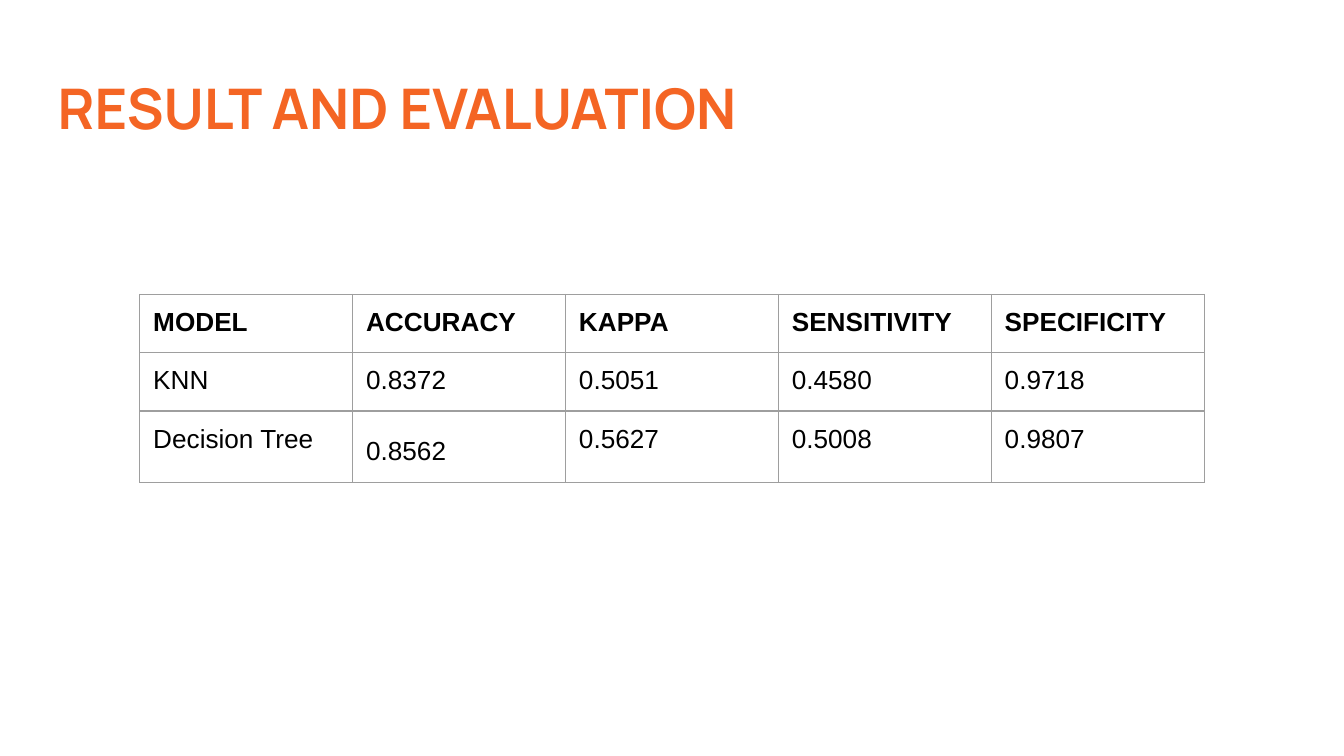
from lxml import etree
from pptx import Presentation
from pptx.dml.color import RGBColor
from pptx.enum.text import MSO_ANCHOR as Anchor
from pptx.oxml.ns import qn
from pptx.util import Inches, Pt

# Content
TITLE = "RESULT AND EVALUATION"
ROWS = [
    ("MODEL", "ACCURACY", "KAPPA", "SENSITIVITY", "SPECIFICITY"),
    ("KNN", "0.8372", "0.5051", "0.4580", "0.9718"),
    ("Decision Tree", "0.8562", "0.5627", "0.5008", "0.9807"),
]
LOOSE = (2, 1)  # cell with wider line spacing

# Style
ORANGE = RGBColor(0xF4, 0x65, 0x24)
BLACK = RGBColor(0, 0, 0)
GREY = RGBColor(0x9E, 0x9E, 0x9E)
PAD = Inches(0.1)
GRID_W, GRID_H = Inches(7.92), Inches(1.25)
FRAME = Inches(3.28)


def add_run(para, text, size, font, color, bold):
    run = para.add_run()
    run.text = text
    run.font.size = Pt(size)
    run.font.name = font
    run.font.color.rgb = color
    run.font.bold = bold


def set_pad(box):
    box.margin_left = box.margin_right = PAD
    box.margin_top = box.margin_bottom = PAD


def add_border(cell):
    props = cell._tc.get_or_add_tcPr()
    for i, side in enumerate(("lnL", "lnR", "lnT", "lnB")):
        line = etree.Element(qn("a:" + side), w=str(Pt(0.75)))
        fill = etree.SubElement(line, qn("a:solidFill"))
        etree.SubElement(fill, qn("a:srgbClr"), val=str(GREY))
        props.insert(i, line)


# Widescreen slide, 16 to 9
prs = Presentation()
prs.slide_width = Inches(10)
prs.slide_height = Inches(10) * 9 // 16
slide = prs.slides.add_slide(prs.slide_layouts[6])

# Title
frame = slide.shapes.add_textbox(
    Inches(0.33), Inches(0.45), Inches(9.32), Inches(0.7)).text_frame
frame.word_wrap = True
frame.vertical_anchor = Anchor.MIDDLE
set_pad(frame)
add_run(frame.paragraphs[0], TITLE, 30, "Manrope", ORANGE, True)

# Results table
holder = slide.shapes.add_table(
    len(ROWS), len(ROWS[0]), Inches(1.04), Inches(2.19), GRID_W, GRID_H)
holder.width = holder.height = FRAME  # rows and columns keep their sizes
table = holder.table
table.first_row = table.horz_banding = False
for r, row in enumerate(ROWS):
    for c, text in enumerate(row):
        cell = table.cell(r, c)
        cell.fill.background()
        set_pad(cell)
        add_border(cell)
        para = cell.text_frame.paragraphs[0]
        if (r, c) == LOOSE:
            para.line_spacing = 1.43
            para.space_after = Pt(8)
        add_run(para, text, 14, "Arial", BLACK, r == 0)

prs.save("out.pptx")
